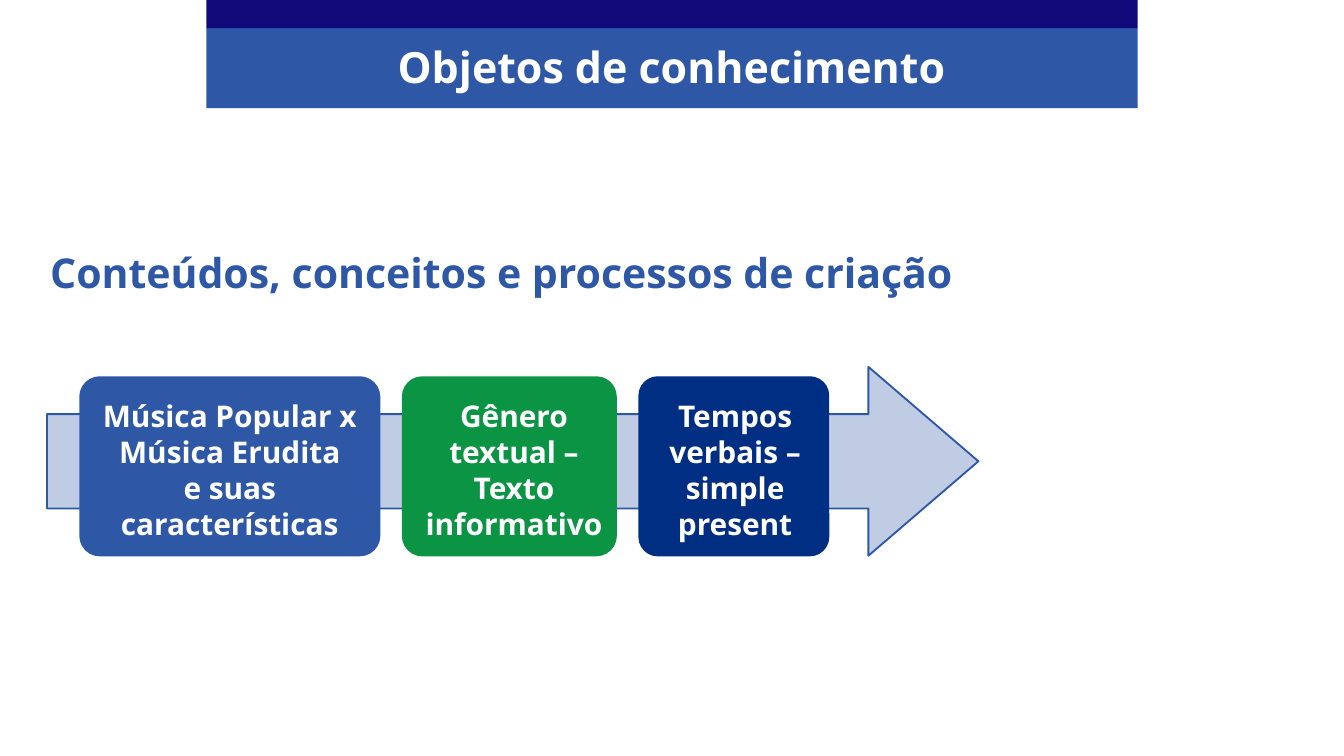
from dataclasses import dataclass

from lxml import etree
from pptx import Presentation
from pptx.dml.color import RGBColor
from pptx.enum.shapes import MSO_SHAPE
from pptx.enum.text import PP_ALIGN
from pptx.oxml.ns import qn
from pptx.util import Inches, Pt

RECTANGLE = MSO_SHAPE.RECTANGLE
ROUNDED = MSO_SHAPE.ROUNDED_RECTANGLE
ARROW = MSO_SHAPE.RIGHT_ARROW
LEFT, CENTER = PP_ALIGN.LEFT, PP_ALIGN.CENTER

# The grid has square cells: 100 columns by 56.25 rows (16:9)
CELL = Inches(0.1)
COLUMNS, ROWS = 100, 56.25


@dataclass(frozen=True)
class Theme:
    font: str = "Open Sans"
    blue: str = "2E58A6"
    indigo: str = "110979"
    green: str = "0B9444"
    navy: str = "002E82"
    white: str = "FFFFFF"
    title_size: int = 23
    heading_size: int = 22
    label_size: int = 16


@dataclass(frozen=True)
class Area:
    column: float
    row: float
    columns: float
    rows: float

    def lengths(self) -> list:
        cells = (self.column, self.row, self.columns, self.rows)
        return [round(cell * CELL) for cell in cells]


@dataclass(frozen=True)
class Topic:
    column: float
    columns: float
    color: str
    corner: float
    label_column: float
    label_columns: float
    lines: tuple


THEME = Theme()
TOPICS = (
    Topic(5.9, 22.4, THEME.blue, 0.114, 5.9, 22.4,
          ("Música Popular x Música Erudita", "e suas características")),
    Topic(29.9, 16, THEME.green, 0.114, 29.6, 17.3,
          ("Gênero textual –", "Texto informativo")),
    Topic(47.5, 14.2, THEME.navy, 0.107, 47.5, 14.4,
          ("Tempos verbais – simple present",)),
)


def add_block(slide, kind, area: Area, color: str, adjustments=(),
              opacity: int = 100, outline: str | None = None):
    shape = slide.shapes.add_shape(kind, *area.lengths())
    shape.shadow.inherit = False
    for index, value in enumerate(adjustments):
        shape.adjustments[index] = value
    shape.fill.solid()
    shape.fill.fore_color.rgb = RGBColor.from_string(color)
    if opacity < 100:
        color_element = shape._element.spPr.find(qn("a:solidFill"))[0]
        alpha = etree.SubElement(color_element, qn("a:alpha"))
        alpha.set("val", str(opacity * 1000))
    if outline:
        shape.line.color.rgb = RGBColor.from_string(outline)
        shape.line.width = Pt(1)
    else:
        shape.line.fill.background()
    return shape


def add_text(slide, area: Area, lines: tuple, *, size: int, color: str,
             align=CENTER, margins: tuple = (0.1, 0.05)):
    box = slide.shapes.add_textbox(*area.lengths())
    frame = box.text_frame
    frame.word_wrap = True
    frame.margin_left = frame.margin_right = Inches(margins[0])
    frame.margin_top = frame.margin_bottom = Inches(margins[1])
    for index, line in enumerate(lines):
        paragraph = frame.add_paragraph() if index else frame.paragraphs[0]
        paragraph.alignment = align
        run = paragraph.add_run()
        run.text = line
        run.font.name = THEME.font
        run.font.size = Pt(size)
        run.font.bold = True
        run.font.color.rgb = RGBColor.from_string(color)
    return box


def add_tile(slide, topic: Topic) -> None:
    tile = Area(topic.column, 28, topic.columns, 13.4)
    add_block(slide, ROUNDED, tile, topic.color, (topic.corner,))


def add_label(slide, topic: Topic) -> None:
    label = Area(topic.label_column, 28.4, topic.label_columns, 13.7)
    add_text(slide, label, topic.lines, size=THEME.label_size,
             color=THEME.white, margins=(0.17, 0.12))


def main() -> None:
    presentation = Presentation()
    presentation.slide_width = round(COLUMNS * CELL)
    presentation.slide_height = round(ROWS * CELL)
    slide = presentation.slides.add_slide(presentation.slide_layouts[6])

    # Title banner
    add_block(slide, RECTANGLE, Area(15.35, 2.1, 69.3, 5.95), THEME.blue)
    add_block(slide, RECTANGLE, Area(15.35, 0, 69.3, 2.1), THEME.indigo)
    add_text(slide, Area(15.35, 2.55, 69.3, 5), ("Objetos de conhecimento",),
             size=THEME.title_size, color=THEME.white)

    # Section heading
    add_text(slide, Area(2.75, 17.9, 85.8, 4.7),
             ("Conteúdos, conceitos e processos de criação",),
             size=THEME.heading_size, color=THEME.blue, align=LEFT)

    # Arrow with its topics, the labels in front of every tile
    add_block(slide, ARROW, Area(3.5, 27.3, 69.3, 14.05), THEME.blue,
              (0.5, 0.582), opacity=30, outline=THEME.blue)
    for topic in TOPICS:
        add_tile(slide, topic)
    for topic in reversed(TOPICS):
        add_label(slide, topic)

    presentation.save("out.pptx")


if __name__ == "__main__":
    main()
